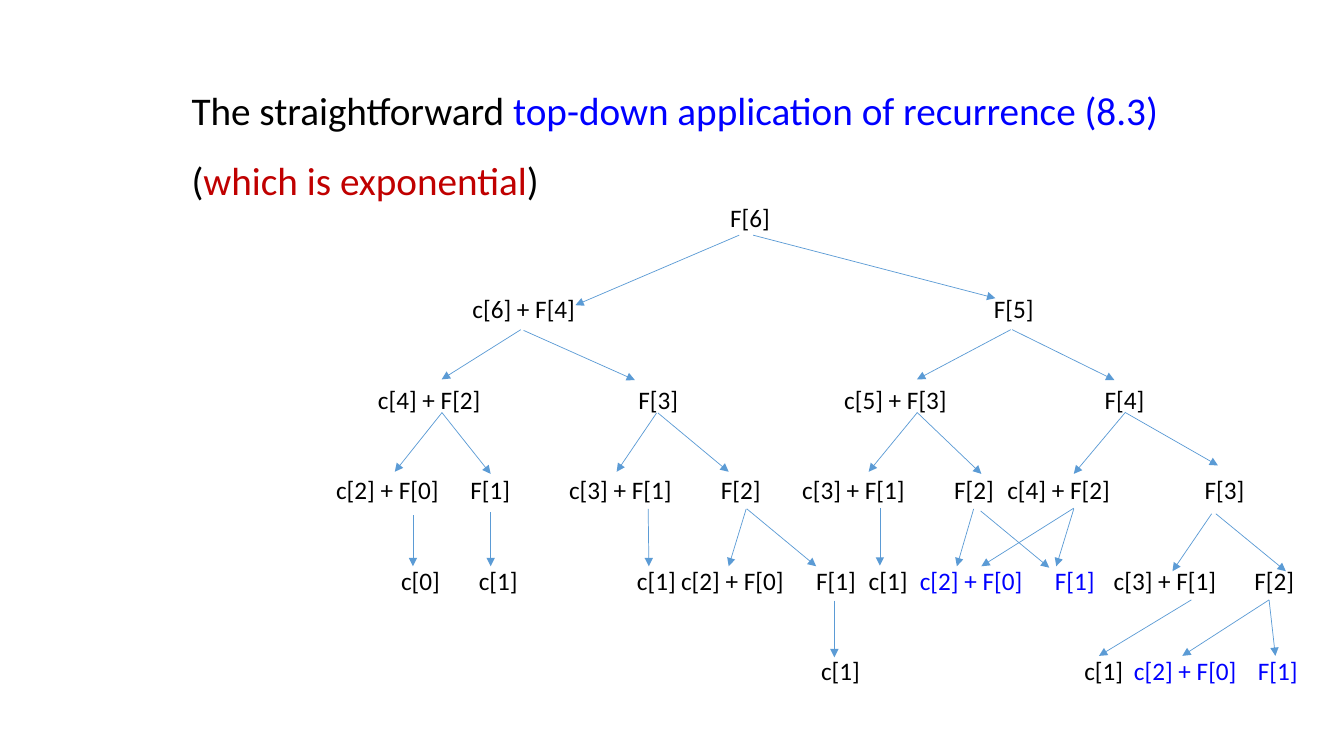
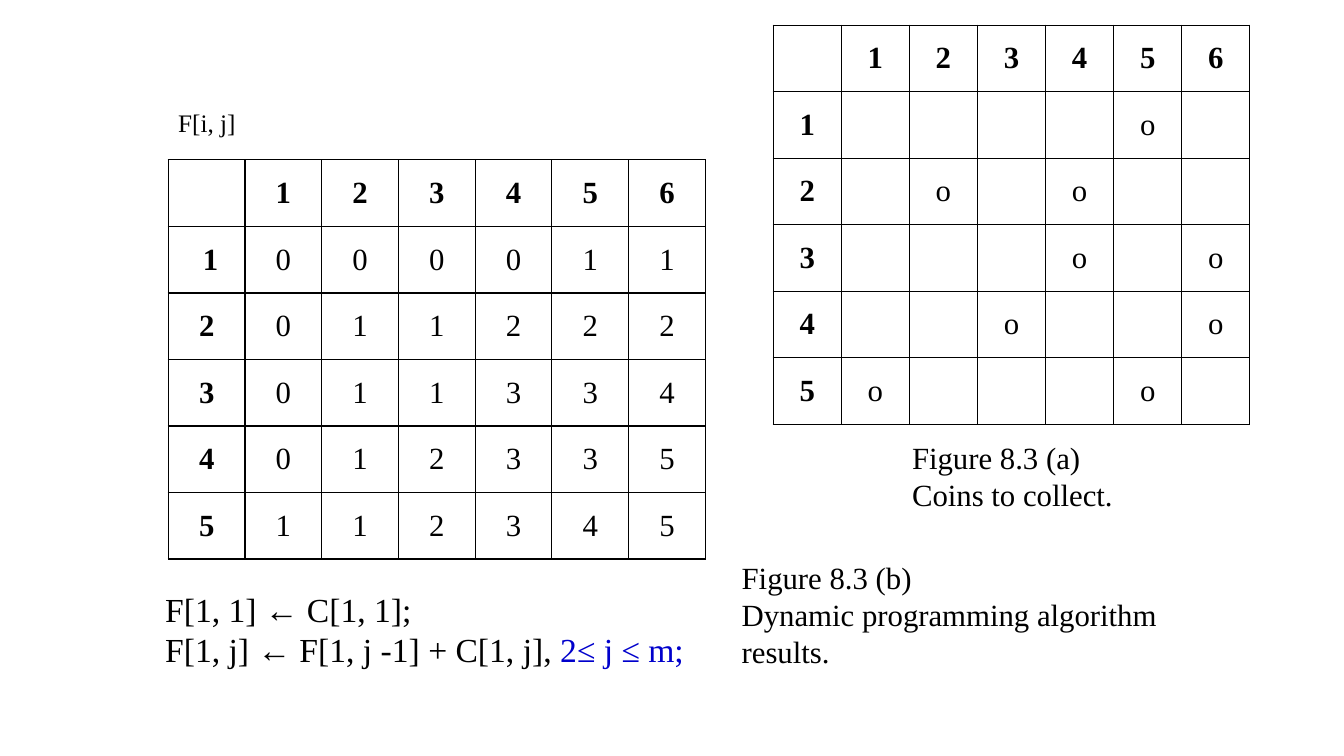
from dataclasses import dataclass

from lxml import etree
from pptx import Presentation
from pptx import util as u
from pptx.dml.color import RGBColor
from pptx.enum import shapes, text
from pptx.oxml import ns


@dataclass(frozen=True)
class Theme:
    sans: str = "Calibri"
    serif: str = "Times New Roman"
    black: str = "000000"
    white: str = "FFFFFF"
    blue: str = "0000FF"
    navy: str = "0000CC"
    red: str = "C00000"
    arrow: str = "5B9BD5"
    title_size: float = 28
    formula_size: float = 24
    table_size: float = 22
    label_size: float = 18


THEME = Theme()

LEVEL_TOP = 144.7
LEVEL_GAP = 64.75
ROW_HEIGHT = 47.52

TREE_LEVELS = [
    [(521.5, "F[6]")],
    [(337.5, "c[6] + F[4]"), (710, "F[5]")],
    [(270, "c[4] + F[2]"), (456, "F[3]"), (603, "c[5] + F[3]"), (789, "F[4]")],
    [(240, "c[2] + F[0]"), (336, "F[1]"), (406.5, "c[3] + F[1]"), (515, "F[2]"),
     (573, "c[3] + F[1]"), (681.5, "F[2]"), (719.5, "c[4] + F[2]"), (860.5, "F[3]")],
    [(286.5, "c[0]"), (342, "c[1]"), (455, "c[1]"), (486.5, "c[2] + F[0]"),
     (583, "F[1]"), (620.5, "c[1]"), (657, "c[2] + F[0]", THEME.blue),
     (753.5, "F[1]", THEME.blue), (795.5, "c[3] + F[1]"), (896, "F[2]")],
    [(586.5, "c[1]"), (774.5, "c[1]"), (810, "c[2] + F[0]", THEME.blue),
     (898.5, "F[1]", THEME.blue)],
]

TREE_ARROWS = [
    (528, 168, 411, 218), (538, 168, 711, 213),
    (372, 235.5, 315.5, 271), (374, 236, 453.5, 271.5),
    (722, 235.5, 655, 271), (723, 235.5, 796, 271.5),
    (315.5, 295, 282, 337), (315.5, 294.5, 350.5, 338.5),
    (469, 295, 440.5, 337), (470, 295, 520.5, 337),
    (655, 295, 620.5, 337), (655, 294.5, 701, 338.5),
    (803.5, 295, 767, 338.5), (803.5, 294.5, 870, 332.5),
    (295, 368, 295, 404.5), (350.5, 366, 350.5, 404.5),
    (463, 363.5, 463.5, 404.5), (533, 363.5, 520.5, 404.5),
    (533.5, 363.5, 583, 404.5), (628.5, 363, 628.5, 404),
    (695.5, 363.5, 683.5, 404.5), (700.5, 365, 749.5, 405.5),
    (767, 363, 701, 404.5), (767, 363.5, 754.5, 404.5),
    (865.5, 367, 837.5, 408), (868.5, 367, 918.5, 408),
    (596, 429, 596, 469.5), (851, 428.5, 785, 468.5),
    (906.5, 428.5, 844.5, 468.5), (906.5, 428.5, 911, 468.5),
]

RESULTS = [
    ["", "1", "2", "3", "4", "5", "6"],
    [" 1", "0", "0", "0", "0", "1", "1"],
    ["2", "0", "1", "1", "2", "2", "2"],
    ["3", "0", "1", "1", "3", "3", "4"],
    ["4", "0", "1", "2", "3", "3", "5"],
    ["5", "1", "1", "2", "3", "4", "5"],
]

COINS = {(1, 5), (2, 2), (2, 4), (3, 4), (3, 6), (4, 3), (4, 6), (5, 1), (5, 5)}


def color(value):
    return RGBColor.from_string(value)


def box(left, top, width, height):
    return [u.Pt(length) for length in (left, top, width, height)]


def style_paragraph(paragraph, font, size, tint=THEME.black, bold=False):
    paragraph.font.name = font
    paragraph.font.size = u.Pt(size)
    paragraph.font.bold = bold
    paragraph.font.color.rgb = color(tint)


def write_lines(shape, lines, font, size, tint=THEME.black):
    frame = shape.text_frame
    frame.word_wrap = True
    frame.auto_size = text.MSO_AUTO_SIZE.NONE
    frame.vertical_anchor = text.MSO_ANCHOR.TOP
    for index, line in enumerate(lines):
        paragraph = frame.add_paragraph() if index else frame.paragraphs[0]
        paragraph.alignment = text.PP_ALIGN.LEFT
        style_paragraph(paragraph, font, size, tint)
        for words, run_tint in line:
            run = paragraph.add_run()
            run.text = words
            if run_tint:
                run.font.color.rgb = color(run_tint)


def add_text(slide, place, lines, font, size, tint=THEME.black):
    shape = slide.shapes.add_textbox(*box(*place))
    write_lines(shape, lines, font, size, tint)
    return shape


def add_title(slide, place, runs):
    title = slide.shapes.title
    title.left, title.top, title.width, title.height = box(*place)
    write_lines(title, [runs], THEME.sans, THEME.title_size)
    title.text_frame.paragraphs[0].line_spacing = 1.5


def add_node(slide, level, left, label, tint=THEME.black):
    width = 84 if "+" in label else 36
    place = (left, LEVEL_TOP + level * LEVEL_GAP, width, 22)
    shape = add_text(slide, place, [[(label, None)]], THEME.sans, THEME.label_size, tint)
    frame = shape.text_frame
    frame.margin_left = frame.margin_right = frame.margin_top = frame.margin_bottom = 0


def add_arrow(slide, *ends):
    arrow = slide.shapes.add_connector(shapes.MSO_CONNECTOR.STRAIGHT, *box(*ends))
    arrow.line.color.rgb = color(THEME.arrow)
    arrow.line.width = u.Pt(0.5)
    etree.SubElement(arrow.line._get_or_add_ln(), ns.qn("a:tailEnd"), type="triangle")
    etree.SubElement(arrow._element.spPr, ns.qn("a:effectLst"))


def add_borders(cell):
    properties = cell._tc.get_or_add_tcPr()
    for index, side in enumerate(("lnL", "lnR", "lnT", "lnB")):
        line = etree.Element(ns.qn(f"a:{side}"), w=str(u.Pt(1)))
        fill = etree.SubElement(line, ns.qn("a:solidFill"))
        etree.SubElement(fill, ns.qn("a:srgbClr"), val=THEME.black)
        properties.insert(index, line)


def add_grid(slide, left, top, column_width, rows):
    row_count, column_count = len(rows), len(rows[0])
    place = box(left, top, column_width * column_count, ROW_HEIGHT * row_count)
    table = slide.shapes.add_table(row_count, column_count, *place).table
    table.first_row = table.horz_banding = False
    for column in table.columns:
        column.width = u.Pt(column_width)
    for row_index, values in enumerate(rows):
        table.rows[row_index].height = u.Pt(ROW_HEIGHT)
        for column_index, value in enumerate(values):
            cell = table.cell(row_index, column_index)
            cell.fill.solid()
            cell.fill.fore_color.rgb = color(THEME.white)
            cell.margin_left = cell.margin_right = u.Pt(5)
            cell.margin_top = cell.margin_bottom = 0
            cell.vertical_anchor = text.MSO_ANCHOR.MIDDLE
            cell.text = value
            paragraph = cell.text_frame.paragraphs[0]
            paragraph.alignment = text.PP_ALIGN.CENTER
            heading = row_index == 0 or column_index == 0
            style_paragraph(paragraph, THEME.serif, THEME.table_size, bold=heading)
            add_borders(cell)


def add_caption_panel(slide, place, lines):
    panel = slide.shapes.add_shape(shapes.MSO_SHAPE.RECTANGLE, *box(*place))
    panel.shadow.inherit = False
    panel.fill.solid()
    panel.fill.fore_color.rgb = color(THEME.white)
    panel.line.color.rgb = color(THEME.white)
    panel.line.width = u.Pt(0.75)
    write_lines(panel, lines, THEME.serif, THEME.table_size)


def coin_rows():
    rows = [[""] + [str(column) for column in range(1, 7)]]
    for row in range(1, 6):
        rows.append([str(row)] + ["o" if (row, column) in COINS else ""
                                  for column in range(1, 7)])
    return rows


def build_recursion_slide(presentation):
    slide = presentation.slides.add_slide(presentation.slide_layouts[5])
    add_title(slide, (129.6, 41, 707.8, 103.7), [
        ("The straightforward ", THEME.black),
        ("top-down application of recurrence (8.3) ", THEME.blue),
        ("(", THEME.black),
        ("which is exponential", THEME.red),
        (")", THEME.black),
    ])
    for level, nodes in enumerate(TREE_LEVELS):
        for node in nodes:
            add_node(slide, level, *node)
    for ends in TREE_ARROWS:
        add_arrow(slide, *ends)


def build_coins_slide(presentation):
    slide = presentation.slides.add_slide(presentation.slide_layouts[6])
    add_grid(slide, 120.24, 114.2, 54.82, RESULTS)
    add_text(slide, (110.9, 416.9, 392, 65.5), [
        [("F[1, 1] ← C[1, 1];", None)],
        [("F[1, j] ← F[1, j -1] + C[1, j], ", None), ("2≤ j ≤ m;", THEME.navy)],
    ], THEME.serif, THEME.formula_size)
    add_text(slide, (522.7, 395.3, 336.2, 87.1), [
        [("Figure 8.3 (b)", None)],
        [("Dynamic programming algorithm results.", None)],
    ], THEME.serif, THEME.table_size)
    add_grid(slide, 552.24, 18, 48.65, coin_rows())
    add_caption_panel(slide, (644.4, 309.6, 189.4, 67.7), [
        [("Figure 8.3 (a)", None)],
        [("Coins to collect.", None)],
    ])
    add_text(slide, (120.2, 73.4, 60.5, 28.8), [[("F[i, j]", None)]],
             THEME.serif, THEME.label_size)


def main():
    presentation = Presentation()
    presentation.slide_width = u.Pt(960)
    presentation.slide_height = u.Pt(540)
    build_recursion_slide(presentation)
    build_coins_slide(presentation)
    presentation.save("out.pptx")


if __name__ == "__main__":
    main()
